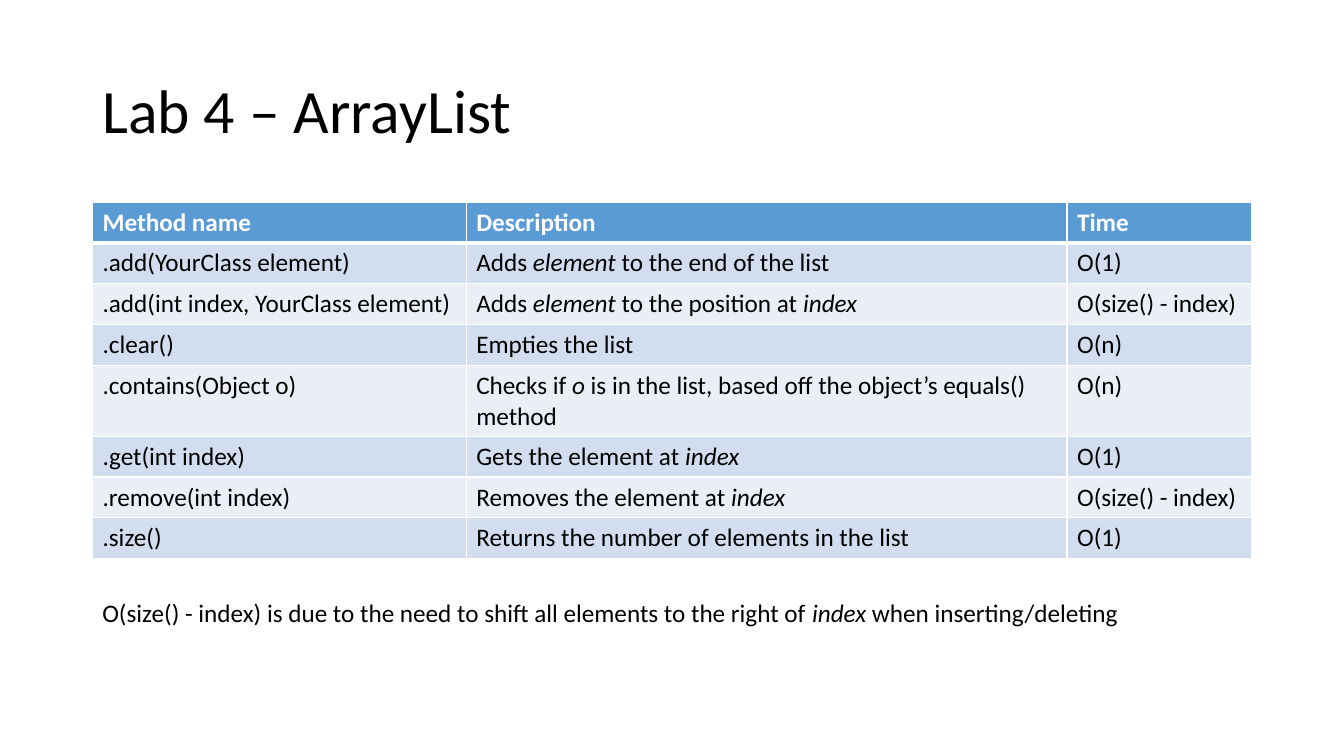
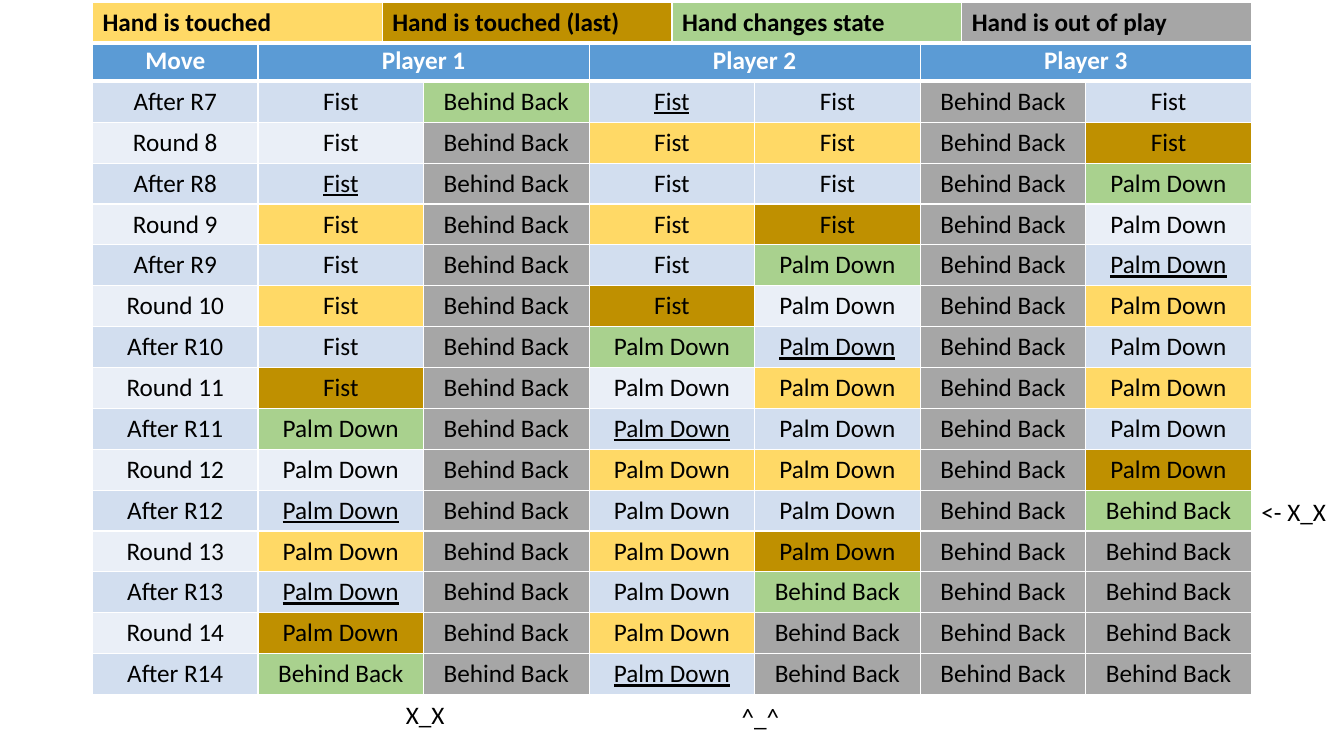
from lxml import etree
from pptx import Presentation
from pptx.dml.color import RGBColor
from pptx.enum.text import MSO_ANCHOR, PP_ALIGN
from pptx.oxml.ns import qn
from pptx.util import Cm, Pt

LEFT = PP_ALIGN.LEFT
CENTER = PP_ALIGN.CENTER
MIDDLE = MSO_ANCHOR.MIDDLE
TOP = MSO_ANCHOR.TOP

MARGIN = 2.33
CONTENT_WIDTH = 29.21
ROW_HEIGHT = 1.03

BLACK = "000000"
WHITE = "FFFFFF"
HEADER = "5B9BD5"
BANDS = ("EAEFF7", "D2DEEF")
TOUCHED = "FFD966"
LAST_TOUCHED = "BF9000"
CHANGED = "A9D18E"
OUT_OF_PLAY = "A6A6A6"

METHODS = [
    ("Method name", "Description", "Time"),
    (".add(YourClass element)", "Adds *element* to the end of the list", "O(1)"),
    (".add(int index, YourClass element)",
     "Adds *element* to the position at *index*", "O(size() - index)"),
    (".clear()", "Empties the list", "O(n)"),
    (".contains(Object o)",
     "Checks if *o* is in the list, based off the object’s equals() method", "O(n)"),
    (".get(int index)", "Gets the element at *index*", "O(1)"),
    (".remove(int index)", "Removes the element at *index*", "O(size() - index)"),
    (".size()", "Returns the number of elements in the list", "O(1)"),
]

HANDS = {"F": "Fist", "P": "Palm Down", "B": "Behind Back"}
HAND_FILLS = {"t": TOUCHED, "l": LAST_TOUCHED, "c": CHANGED, "o": OUT_OF_PLAY}
MOVES = [
    ("After R7", "F Bc F* F Bo F"),
    ("Round 8", "F Bo Ft Ft Bo Fl"),
    ("After R8", "F* Bo F F Bo Pc"),
    ("Round 9", "Ft Bo Ft Fl Bo P"),
    ("After R9", "F Bo F Pc Bo P*"),
    ("Round 10", "Ft Bo Fl P Bo Pt"),
    ("After R10", "F Bo Pc P* Bo P"),
    ("Round 11", "Fl Bo P Pt Bo Pt"),
    ("After R11", "Pc Bo P* P Bo P"),
    ("Round 12", "P Bo Pt Pt Bo Pl"),
    ("After R12", "P* Bo P P Bo Bc"),
    ("Round 13", "Pt Bo Pt Pl Bo Bo"),
    ("After R13", "P* Bo P Bc Bo Bo"),
    ("Round 14", "Pl Bo Pt Bo Bo Bo"),
    ("After R14", "Bc Bo P* Bo Bo Bo"),
]
LEGEND = {
    "Hand is touched": TOUCHED,
    "Hand is touched (last)": LAST_TOUCHED,
    "Hand changes state": CHANGED,
    "Hand is out of play": OUT_OF_PLAY,
}


def color(value):
    return RGBColor.from_string(value)


class Deck:
    font = "Calibri"
    body_size = 18
    title_size = 44

    def __init__(self):
        self.presentation = Presentation()
        self.presentation.slide_width = Cm(33.87)
        self.presentation.slide_height = Cm(19.05)
        self.slide = None

    def add_slide(self):
        layout = self.presentation.slide_layouts[6]
        self.slide = self.presentation.slides.add_slide(layout)

    def add_runs(self, paragraph, text, size=body_size, ink=BLACK, bold=False,
                 underlined=False):
        for index, piece in enumerate(text.split("*")):
            if piece:
                run = paragraph.add_run()
                run.text = piece
                run.font.name = self.font
                run.font.size = Pt(size)
                run.font.bold = bold
                run.font.color.rgb = color(ink)
                if index % 2 and underlined:
                    run.font.underline = True
                elif index % 2:
                    run.font.italic = True

    def text(self, text, left, top, width, height=ROW_HEIGHT, size=body_size,
             anchor=TOP):
        shape = self.slide.shapes.add_textbox(Cm(left), Cm(top), Cm(width), Cm(height))
        frame = shape.text_frame
        frame.word_wrap = True
        frame.vertical_anchor = anchor
        self.add_runs(frame.paragraphs[0], text, size)
        return frame.paragraphs[0]

    def title(self, text):
        paragraph = self.text(text, MARGIN, 1.01, CONTENT_WIDTH, 3.68,
                              self.title_size, MIDDLE)
        paragraph.line_spacing = 0.9

    def borders(self, cell, top, bottom):
        properties = cell._tc.get_or_add_tcPr()
        for side, width in (("L", 1), ("R", 1), ("T", top), ("B", bottom)):
            line = etree.SubElement(properties, qn(f"a:ln{side}"), w=str(Pt(width)))
            fill = etree.SubElement(line, qn("a:solidFill"))
            etree.SubElement(fill, qn("a:srgbClr"), val=WHITE)

    def table(self, rows, top, widths, fills=None, align=LEFT, underlined=False,
              header_ink=WHITE):
        fills = fills or {}
        table = self.slide.shapes.add_table(
            len(rows), len(widths), Cm(MARGIN), Cm(top),
            Cm(CONTENT_WIDTH), Cm(ROW_HEIGHT * len(rows))).table
        table.first_row = False
        table.horz_banding = False
        for column, width in zip(table.columns, widths):
            column.width = Cm(width)
        for row_index, row in enumerate(rows):
            table.rows[row_index].height = Cm(ROW_HEIGHT)
            header = row_index == 0
            base = HEADER if header else BANDS[row_index % 2]
            for column_index, text in enumerate(row):
                cell = table.cell(row_index, column_index)
                self.borders(cell, 3 if row_index == 1 else 1, 3 if header else 1)
                cell.fill.solid()
                cell.fill.fore_color.rgb = color(
                    fills.get((row_index, column_index), base))
                paragraph = cell.text_frame.paragraphs[0]
                paragraph.alignment = align
                self.add_runs(paragraph, text, ink=header_ink if header else BLACK,
                              bold=header, underlined=underlined)
        return table


def methods_slide(deck):
    deck.add_slide()
    deck.title("Lab 4 – ArrayList")
    deck.table(METHODS, 5.09, (9.42, 15.14, 4.65))
    deck.text("O(size() - index) is due to the need to shift all elements to the "
              "right of *index* when inserting/deleting", MARGIN, 14.92, CONTENT_WIDTH)


def game_slide(deck):
    deck.add_slide()
    rows = [("Move", "Player 1", "", "Player 2", "", "Player 3", "")]
    fills = {}
    for row_index, (move, codes) in enumerate(MOVES, 1):
        row = [move]
        for column_index, code in enumerate(codes.split(), 1):
            hand, mark = HANDS[code[0]], code[1:]
            row.append(f"*{hand}*" if mark == "*" else hand)
            if mark in HAND_FILLS:
                fills[row_index, column_index] = HAND_FILLS[mark]
        rows.append(row)
    table = deck.table(rows, 1.02, [CONTENT_WIDTH / 7] * 7, fills, CENTER, True)
    for column_index in (1, 3, 5):
        table.cell(0, column_index).merge(table.cell(0, column_index + 1))

    for note, left, top in (("<- X_X", 31.54, 12.37), ("X_X", 9.98, 17.5),
                            ("^_^", 18.44, 17.55)):
        deck.text(note, left, top, 2.33)

    legend_fills = {(0, index): fill for index, fill in enumerate(LEGEND.values())}
    deck.table([list(LEGEND)], 0.05, [CONTENT_WIDTH / 4] * 4, legend_fills,
               header_ink=BLACK)


def main():
    deck = Deck()
    methods_slide(deck)
    game_slide(deck)
    deck.presentation.save("out.pptx")


if __name__ == "__main__":
    main()
